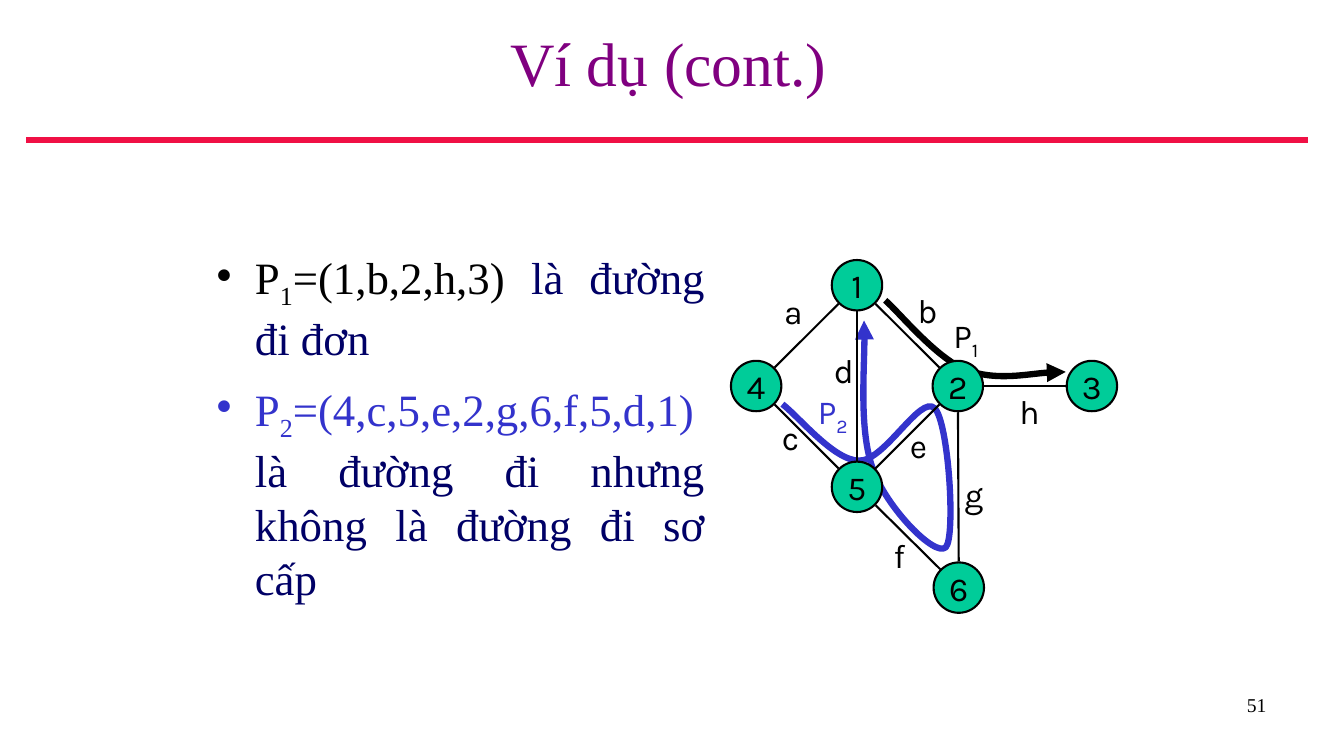
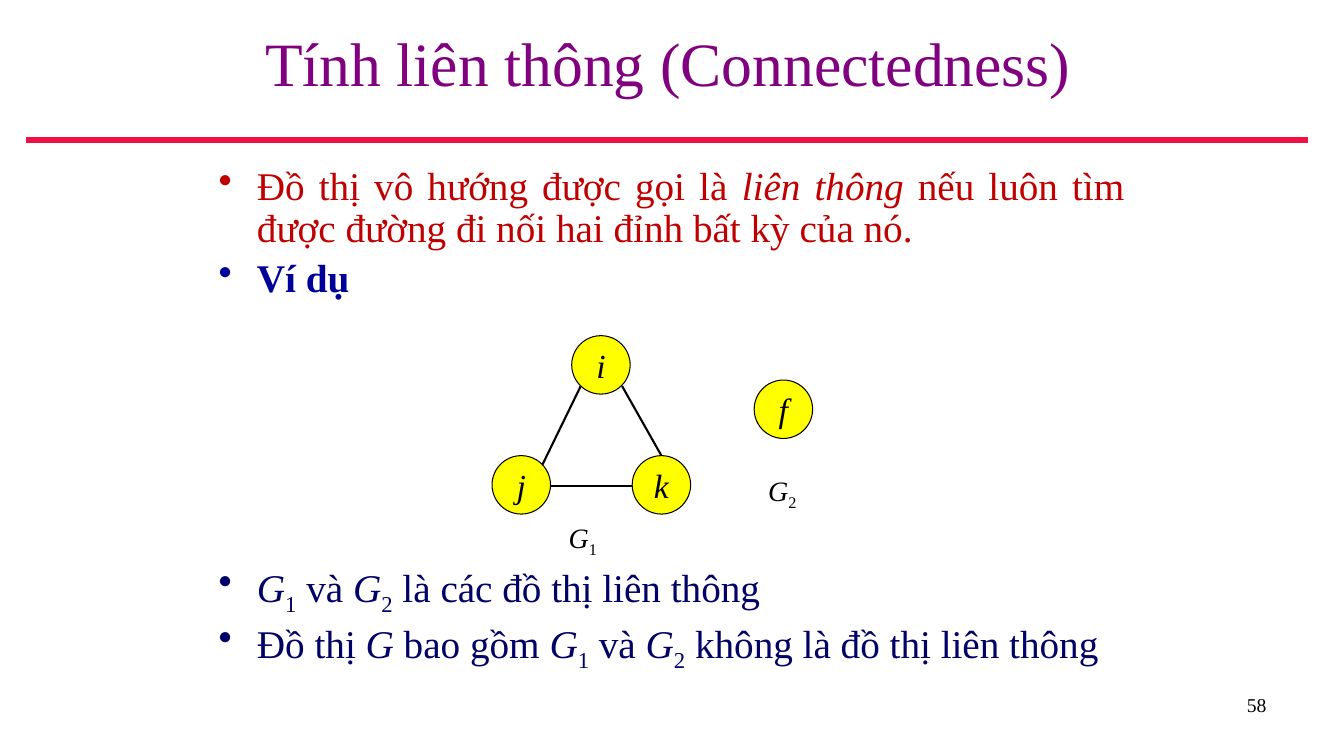
import math

from lxml import etree
from pptx import Presentation
from pptx.dml.color import RGBColor
from pptx.enum.shapes import MSO_CONNECTOR, MSO_SHAPE
from pptx.enum.text import MSO_ANCHOR, PP_ALIGN
from pptx.oxml.ns import qn
from pptx.util import Inches, Pt

STRAIGHT = MSO_CONNECTOR.STRAIGHT
OVAL = MSO_SHAPE.OVAL
MIDDLE = MSO_ANCHOR.MIDDLE
CENTER, RIGHT, JUSTIFY = PP_ALIGN.CENTER, PP_ALIGN.RIGHT, PP_ALIGN.JUSTIFY

BLACK = RGBColor(0x00, 0x00, 0x00)
PURPLE = RGBColor(0x80, 0x00, 0x80)
CRIMSON = RGBColor(0xF0, 0x10, 0x45)
RED = RGBColor(0xC0, 0x00, 0x00)
NAVY = RGBColor(0x00, 0x00, 0x66)
DARK_BLUE = RGBColor(0x00, 0x00, 0x99)
BLUE = RGBColor(0x33, 0x33, 0xCC)
GREEN = RGBColor(0x00, 0xCC, 0x99)
YELLOW = RGBColor(0xFF, 0xFF, 0x00)

SERIF, SANS = "Times New Roman", "Karla"
TITLE_ONLY = 5

# A run is (text, colour, flags); flags: b bold, i italic, _ subscript.
WALK_BULLETS = [
    [("P", BLACK, ""), ("1", BLACK, "_"), ("=(1,b,2,h,3) ", BLACK, ""),
     ("là đường đi đơn", NAVY, "")],
    [("P", BLUE, ""), ("2", BLUE, "_"), ("=(4,c,5,e,2,g,6,f,5,d,1) ", BLUE, ""),
     ("là đường đi nhưng không là đường đi sơ cấp", NAVY, "")],
]
# Node centres
WALK_NODES = {
    "1": (8.5, 2.83), "2": (9.5, 3.83), "3": (10.83, 3.83),
    "4": (7.5, 3.83), "5": (8.5, 4.83), "6": (9.51, 5.83),
}
WALK_EDGES = ["14", "54", "52", "23", "12", "15", "56", "26"]
# Label centre and top
EDGE_LABELS = {
    "a": (7.87, 2.84), "b": (9.2, 2.83), "c": (7.84, 4.09), "d": (8.37, 3.42),
    "e": (9.11, 4.17), "f": (8.92, 5.26), "g": (9.66, 4.65), "h": (10.21, 3.83),
}
WALK_LABELS = [("1", BLACK, (9.58, 3.08)), ("2", BLUE, (8.26, 3.83))]
# Start point, then two control points and an end point for each bend
WALK_CURVES = [
    (BLUE, [(7.76, 4.01), (7.92, 4.13), (8.27, 4.57), (8.52, 4.57),
            (8.77, 4.58), (9.13, 3.91), (9.27, 4.05),
            (9.41, 4.19), (9.48, 5.33), (9.38, 5.43),
            (9.27, 5.53), (8.79, 5.03), (8.66, 4.66),
            (8.52, 4.28), (8.59, 3.42), (8.57, 3.18)]),
    (BLACK, [(8.78, 2.98), (8.91, 3.09), (9.28, 3.55), (9.58, 3.67),
             (9.88, 3.78), (10.37, 3.68), (10.57, 3.69)]),
]

DEFINITION_BULLETS = [
    [("Đồ thị vô hướng được gọi là ", RED, ""), ("liên thông", RED, "i"),
     (" nếu luôn tìm được đường đi nối hai đỉnh bất kỳ của nó.", RED, "")],
    [("Ví dụ", DARK_BLUE, "b")],
]
G1 = [("G", NAVY, "i"), ("1", NAVY, "_")]
G2 = [("G", NAVY, "i"), ("2", NAVY, "_")]
AND = [(" và ", NAVY, "")]
CONCLUSION_BULLETS = [
    G1 + AND + G2 + [(" là các đồ thị liên thông", NAVY, "")],
    [("Đồ thị ", NAVY, ""), ("G", NAVY, "i"), (" bao gồm ", NAVY, "")]
    + G1 + AND + G2 + [(" không là đồ thị liên thông", NAVY, "")],
]
CONNECTED_NODES = {
    "i": (5.96, 3.62), "j": (5.17, 4.81), "k": (6.56, 4.81), "f": (7.77, 4.06),
}
CONNECTED_EDGES = [
    ((5.38, 4.61), (5.76, 3.83)),
    ((6.56, 4.52), (6.17, 3.83)),
    ((5.46, 4.82), (6.27, 4.82)),
]
GRAPH_LABELS = [("1", (5.78, 5.11)), ("2", (7.76, 4.65))]


def add_runs(paragraph, runs, size, font_name=SERIF):
    for text, color, flags in runs:
        run = paragraph.add_run()
        run.text = text
        run.font.name = font_name
        run.font.size = Pt(size)
        run.font.color.rgb = color
        run.font.bold = "b" in flags
        run.font.italic = "i" in flags
        if "_" in flags:
            run._r.get_or_add_rPr().set("baseline", "-25000")


def add_text(slide, box, runs, size, font_name=SERIF, align=CENTER):
    frame = slide.shapes.add_textbox(*map(Inches, box)).text_frame
    frame.paragraphs[0].alignment = align
    add_runs(frame.paragraphs[0], runs, size, font_name)


def add_label(slide, place, runs, size, font_name=SERIF):
    center, top = place
    add_text(slide, (center - 0.25, top, 0.5, 0.5), runs, size, font_name)


def add_bullets(slide, box, bullets, size, gap, line_spacing=None):
    frame = slide.shapes.add_textbox(*map(Inches, box)).text_frame
    frame.word_wrap = True
    for index, runs in enumerate(bullets):
        paragraph = frame.add_paragraph() if index else frame.paragraphs[0]
        paragraph.alignment = JUSTIFY
        paragraph.line_spacing = line_spacing
        if index:
            paragraph.space_before = Pt(gap)
        properties = paragraph._p.get_or_add_pPr()
        properties.set("marL", str(Inches(0.38)))
        properties.set("indent", str(Inches(-0.38)))
        etree.SubElement(properties, qn("a:buChar")).set("char", "•")
        add_runs(paragraph, runs, size)


def add_line(slide, start, end, width=1.5, color=BLACK):
    line = slide.shapes.add_connector(STRAIGHT, *map(Inches, start + end))
    line.line.width = Pt(width)
    line.line.color.rgb = color
    etree.SubElement(line._element.spPr, qn("a:effectLst"))


def add_node(slide, text, center, diameter, fill, line_width, font_name, flags=""):
    left, top = (value - diameter / 2 for value in center)
    node = slide.shapes.add_shape(
        OVAL, *map(Inches, (left, top, diameter, diameter)))
    node.shadow.inherit = False
    node.fill.solid()
    node.fill.fore_color.rgb = fill
    node.line.color.rgb = BLACK
    node.line.width = Pt(line_width)
    frame = node.text_frame
    frame.word_wrap = False
    frame.vertical_anchor = MIDDLE
    frame.paragraphs[0].alignment = CENTER
    add_runs(frame.paragraphs[0], [(text, BLACK, flags)], 24, font_name)


def add_curved_arrow(slide, points, color):
    """Draw a chain of cubic curves that ends in an arrowhead."""
    start, *rest = [(Inches(x), Inches(y)) for x, y in points]
    builder = slide.shapes.build_freeform(*start)
    builder.add_line_segments(rest, close=False)
    curve = builder.convert_to_shape()
    curve.shadow.inherit = False
    curve.fill.background()
    curve.line.color.rgb = color
    curve.line.width = Pt(4.5)
    segments = list(curve._element.iter(qn("a:lnTo")))
    for first in range(0, len(segments), 3):
        bend, *others = segments[first:first + 3]
        bend.tag = qn("a:cubicBezTo")
        for other in others:
            bend.append(other[0])
            other.getparent().remove(other)
    outline = curve._element.spPr.find(qn("a:ln"))
    etree.SubElement(outline, qn("a:tailEnd")).set("type", "triangle")


def edge_between(start, end, radius):
    """Return the points where the line between two centres leaves the nodes."""
    distance = math.dist(start, end)
    step = [radius * (b - a) / distance for a, b in zip(start, end)]
    return (tuple(a + s for a, s in zip(start, step)),
            tuple(b - s for b, s in zip(end, step)))


def add_page(presentation, title_text, number):
    slide = presentation.slides.add_slide(presentation.slide_layouts[TITLE_ONLY])
    add_line(slide, (0.26, 1.39), (12.97, 1.39), 4.5, CRIMSON)
    title = slide.shapes.title
    title.left, title.top, title.width, title.height = map(
        Inches, (0.26, 0, 12.74, 1.23))
    title.text_frame.vertical_anchor = MIDDLE
    title.text_frame.paragraphs[0].alignment = CENTER
    add_runs(title.text_frame.paragraphs[0], [(title_text, PURPLE, "")], 44)
    add_text(slide, (9.55, 6.82, 3.11, 0.52), [(number, BLACK, "")], 14,
             align=RIGHT)
    return slide


def add_walk_slide(presentation):
    slide = add_page(presentation, "Ví dụ (cont.)", "51")
    add_bullets(slide, (2.05, 2.43, 5.04, 4.16), WALK_BULLETS, 32, 12)
    for color, points in WALK_CURVES:
        add_curved_arrow(slide, points, color)
    for name, center in WALK_NODES.items():
        add_node(slide, name, center, 0.5, GREEN, 1.5, SANS)
    for start, end in WALK_EDGES:
        add_line(slide, *edge_between(WALK_NODES[start], WALK_NODES[end], 0.26))
    for name, place in EDGE_LABELS.items():
        add_label(slide, place, [(name, BLACK, "")], 24, SANS)
    for number, color, place in WALK_LABELS:
        add_label(slide, place, [("P", color, ""), (number, color, "_")], 24, SANS)


def add_connectedness_slide(presentation):
    slide = add_page(presentation, "Tính liên thông (Connectedness)", "58")
    add_bullets(slide, (2.07, 1.6, 9.18, 1.5), DEFINITION_BULLETS, 28, 5.6, 0.9)
    add_bullets(slide, (2.07, 5.55, 9.18, 1.2), CONCLUSION_BULLETS, 28, 5.6, 0.9)
    for name, center in CONNECTED_NODES.items():
        add_node(slide, name, center, 0.58, YELLOW, 0.75, SERIF, "i")
    for start, end in CONNECTED_EDGES:
        add_line(slide, start, end)
    for number, place in GRAPH_LABELS:
        add_label(slide, place, [("G", BLACK, "i"), (number, BLACK, "_")], 20)


def main():
    presentation = Presentation()
    presentation.slide_width = Inches(13.33)
    presentation.slide_height = Inches(7.5)
    add_walk_slide(presentation)
    add_connectedness_slide(presentation)
    presentation.save("out.pptx")


if __name__ == "__main__":
    main()
